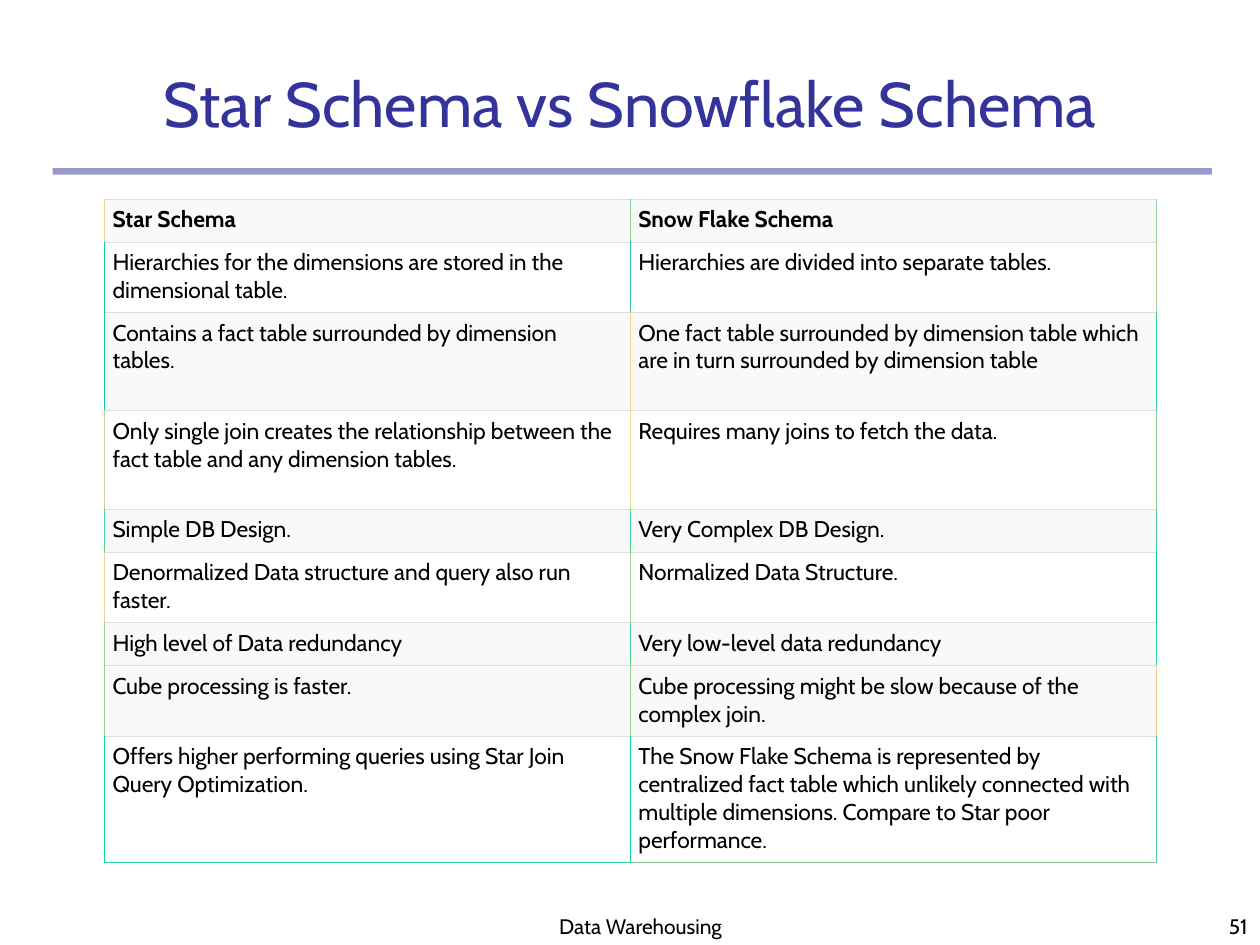
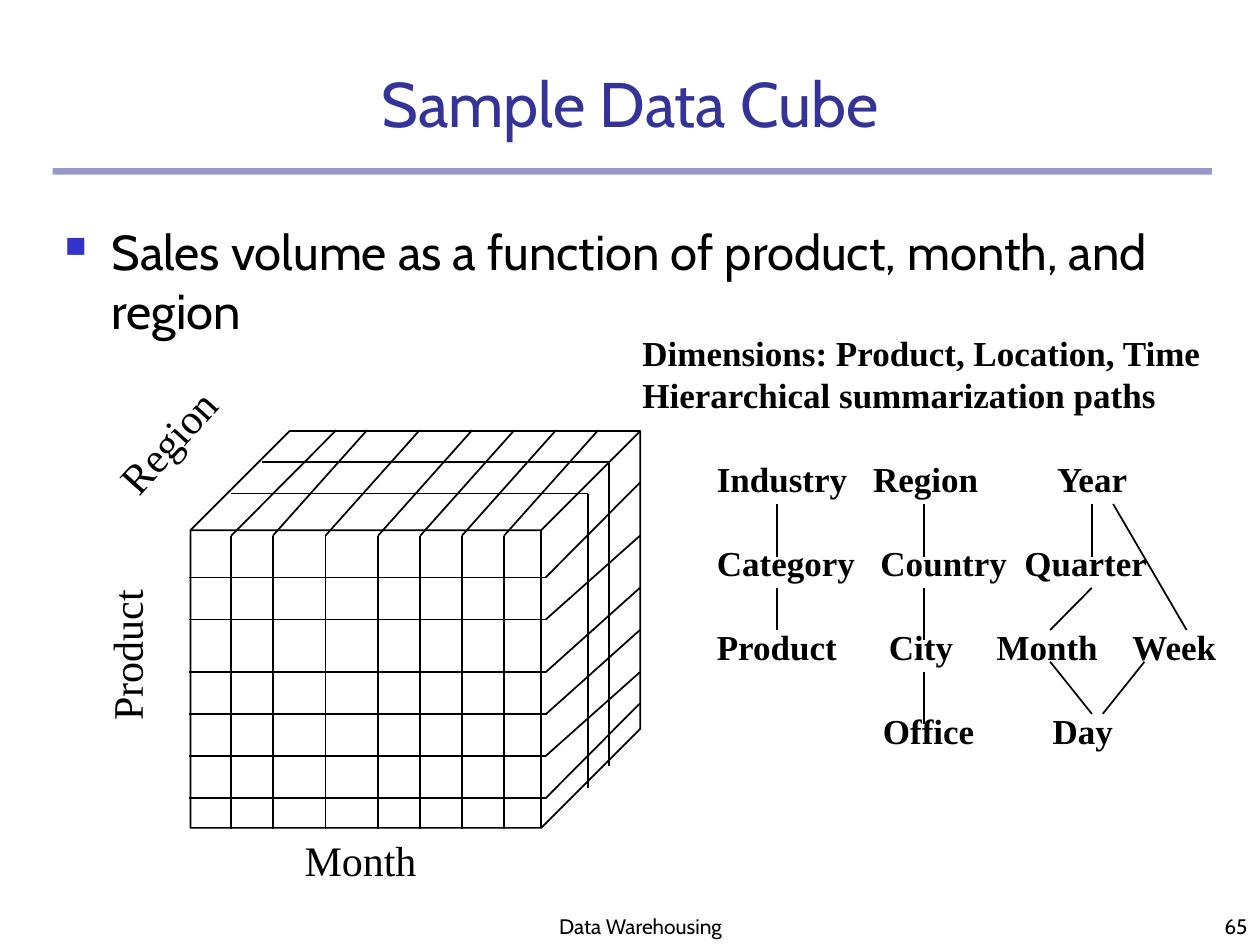
from lxml import etree
from pptx import Presentation
from pptx.dml.color import RGBColor
from pptx.enum.shapes import MSO_CONNECTOR, MSO_SHAPE
from pptx.enum.text import MSO_ANCHOR, MSO_AUTO_SIZE, PP_ALIGN
from pptx.oxml.ns import qn
from pptx.util import Cm, Pt

CUBE, RECTANGLE = MSO_SHAPE.CUBE, MSO_SHAPE.RECTANGLE
STRAIGHT = MSO_CONNECTOR.STRAIGHT
TOP, BOTTOM = MSO_ANCHOR.TOP, MSO_ANCHOR.BOTTOM
LEFT, CENTER, RIGHT = PP_ALIGN.LEFT, PP_ALIGN.CENTER, PP_ALIGN.RIGHT
GROW = MSO_AUTO_SIZE.SHAPE_TO_FIT_TEXT

SANS, SERIF = "Cabin", "Times New Roman"
BLACK, WHITE, NAVY = "000000", "FFFFFF", "333399"
BULLET_BLUE, SHADE, RULE_GREY = "3333CC", "F9F9F9", "DDDDDD"

COMPARISON = [
    ("Star Schema", "Snow Flake Schema"),
    ("Hierarchies for the dimensions are stored in the dimensional table.",
     "Hierarchies are divided into separate tables."),
    ("Contains a fact table surrounded by dimension tables.",
     "One fact table surrounded by dimension table which are in turn surrounded by dimension table"),
    ("Only single join creates the relationship between the fact table and any dimension tables.",
     "Requires many joins to fetch the data."),
    ("Simple DB Design.", "Very Complex DB Design."),
    ("Denormalized Data structure and query also run faster.", "Normalized Data Structure."),
    ("High level of Data redundancy", "Very low-level data redundancy"),
    ("Cube processing is faster.", "Cube processing might be slow because of the complex join."),
    ("Offers higher performing queries using Star Join Query Optimization.",
     "The Snow Flake Schema is represented by centralized fact table which unlikely connected "
     "with multiple dimensions. Compare to Star poor performance."),
]
ROW_HEIGHTS = [0.87, 1.42, 1.98, 1.98, 0.87, 1.42, 0.87, 1.42, 2.54]
SHADED_ROWS = {0, 2, 4, 6, 7}
VERTICAL_BORDERS = [
    ("F0D095", "90CD95", "90CF95"),
    ("10D095", "30CB95", "B0CF95"),
    ("10CD95", "F0D095", "30D095"),
    ("D0D095", "F0D895", "90CB95"),
    ("50D595", "50D695", "50CB95"),
    ("F0D195", "B0D495", "10CD95"),
    ("90D895", "50D495", "30D195"),
    ("90D495", "90D695", "F0CE95"),
    ("10D995", "10D995", "50CB95"),
]
BOTTOM_BORDERS = ("30D195", "90CB95")

PRODUCT_LINES = [(11.64, 9.73), (12.49, 10.8), (13.55, 11.85),
                 (14.4, 12.7), (15.24, 13.55), (16.09, 14.18)]
MONTH_LINES = [(4.66, 6.78), (5.5, 7.4), (6.56, 8.46), (7.62, 9.52),
               (8.47, 10.37), (9.31, 11.21), (10.16, 12.06)]
REGION_LINES = [(5.29, 9.31, 12.28, 15.45), (4.66, 9.95, 11.85, 15.88)]

HIERARCHY = [
    ("Industry\tRegion\tYear", (3.15, 6.86)),
    ("Category\tCountry\tQuarter", (3.3, 6.2)),
    ("Product\tCity\tMonth\tWeek", (3.47, 5.64, 8.38)),
    ("\tOffice\tDay", (3.35, 6.77)),
]
HIERARCHY_LINKS = [
    (15.66, 10.16, 15.66, 11.22), (15.66, 11.85, 15.66, 12.7),
    (18.63, 10.16, 18.63, 11.22), (18.63, 11.85, 18.63, 12.91),
    (18.63, 13.55, 18.63, 14.6), (22.01, 10.16, 22.01, 11.22),
    (22.01, 11.85, 21.17, 12.7), (22.44, 10.16, 23.92, 12.7),
    (21.17, 13.34, 22.01, 14.39), (23.07, 13.34, 22.23, 14.39),
]


def color(hex_code):
    """Turn a hex string into a colour."""
    return RGBColor.from_string(hex_code)


def add_element(parent, tag, **attributes):
    """Append a drawing element to a parent and return it."""
    return etree.SubElement(parent, qn(tag), attributes)


def add_tabs(paragraph, positions):
    """Set left tab stops, in centimetres."""
    tab_list = add_element(paragraph._p.get_or_add_pPr(), "a:tabLst")
    for position in positions:
        add_element(tab_list, "a:tab", pos=str(Cm(position)), algn="l")


def add_bullet(paragraph):
    """Give a paragraph a small square bullet and a hanging indent."""
    properties = paragraph._p.get_or_add_pPr()
    properties.set("marL", str(Cm(0.94)))
    properties.set("indent", str(-Cm(0.94)))
    bullet_color = add_element(properties, "a:buClr")
    add_element(bullet_color, "a:srgbClr", val=BULLET_BLUE)
    add_element(properties, "a:buSzPct", val="60000")
    add_element(properties, "a:buChar", char="■")


def format_paragraph(paragraph, text, size=12, font=SANS, ink=BLACK, bold=False, align=LEFT):
    """Write text into a paragraph and format it."""
    paragraph.text = text
    paragraph.alignment = align
    paragraph.font.size = Pt(size)
    paragraph.font.name = font
    paragraph.font.bold = bold
    paragraph.font.color.rgb = color(ink)


def add_text(slide, text, left, top, width, height, *, anchor=TOP, wrap=True, grow=False,
             rotation=0, bullet=False, tabs=(), space_before=0, **style):
    """Add a text box with one paragraph for each line of text."""
    box = slide.shapes.add_textbox(Cm(left), Cm(top), Cm(width), Cm(height))
    box.rotation = rotation
    frame = box.text_frame
    frame.word_wrap = wrap
    frame.vertical_anchor = anchor
    if grow:
        frame.auto_size = GROW
    for index, line in enumerate(text.split("\n")):
        paragraph = frame.add_paragraph() if index else frame.paragraphs[0]
        if bullet:
            add_bullet(paragraph)
        if tabs:
            add_tabs(paragraph, tabs[index])
        if index and space_before:
            paragraph.space_before = Pt(space_before)
        format_paragraph(paragraph, line, **style)


def add_line(slide, start_x, start_y, end_x, end_y):
    """Add a thin black straight line."""
    line = slide.shapes.add_connector(STRAIGHT, Cm(start_x), Cm(start_y), Cm(end_x), Cm(end_y))
    line.line.color.rgb = color(BLACK)
    line.line.width = Pt(1)
    add_element(line._element.spPr, "a:effectLst")


def add_title_rule(slide):
    """Add the half-transparent band under the title."""
    rule = slide.shapes.add_shape(RECTANGLE, Cm(1.06), Cm(3.39), Cm(23.37), Cm(0.13))
    rule.shadow.inherit = False
    rule.line.fill.background()
    rule.fill.solid()
    rule.fill.fore_color.rgb = color(NAVY)
    fill_color = rule._element.spPr.find(qn("a:solidFill")).find(qn("a:srgbClr"))
    add_element(fill_color, "a:alpha", val="50000")


def add_base_slide(presentation, title, number):
    """Add a slide with the shared title, band and footer."""
    slide = presentation.slides.add_slide(presentation.slide_layouts[6])
    add_title_rule(slide)
    add_text(slide, title, 1.06, 1.06, 23.28, 1.9, anchor=BOTTOM, size=36, ink=NAVY, align=CENTER)
    add_text(slide, "Data Warehousing", 8.89, 17.57, 8.05, 1.48, anchor=BOTTOM, align=CENTER)
    add_text(slide, number, 20.11, 17.78, 5.29, 1.27, anchor=BOTTOM, align=RIGHT)
    return slide


def set_borders(cell, left, right, top, bottom):
    """Draw the four borders of a cell, each a hex colour."""
    properties = cell._tc.get_or_add_tcPr()
    sides = [("a:lnL", left), ("a:lnR", right), ("a:lnT", top), ("a:lnB", bottom)]
    for index, (tag, hex_code) in enumerate(sides):
        width = Pt(0.34 if hex_code == RULE_GREY else 0.45)
        border = add_element(properties, tag, w=str(width))
        add_element(add_element(border, "a:solidFill"), "a:srgbClr", val=hex_code)
        properties.insert(index, border)


def fill_cell(cell, text, shaded, bold):
    """Write one table cell on its background."""
    cell.margin_left = cell.margin_right = Cm(0.16)
    cell.margin_top = cell.margin_bottom = Cm(0.13)
    cell.fill.solid()
    cell.fill.fore_color.rgb = color(SHADE if shaded else WHITE)
    paragraph = cell.text_frame.paragraphs[0]
    format_paragraph(paragraph, text, size=13, bold=bold)
    paragraph.line_spacing = 1.01


def add_comparison_table(slide):
    """Add the table that compares both schemas."""
    table = slide.shapes.add_table(len(COMPARISON), 2, Cm(2.11), Cm(4.01), Cm(21.2),
                                   Cm(sum(ROW_HEIGHTS))).table
    table.first_row = table.horz_banding = False
    for row, texts in enumerate(COMPARISON):
        table.rows[row].height = Cm(ROW_HEIGHTS[row])
        is_last = row == len(COMPARISON) - 1
        for column, text in enumerate(texts):
            cell = table.cell(row, column)
            fill_cell(cell, text, row in SHADED_ROWS, row == 0)
            left, right = VERTICAL_BORDERS[row][column:column + 2]
            set_borders(cell, left, right, RULE_GREY,
                        BOTTOM_BORDERS[column] if is_last else RULE_GREY)


def add_data_cube(slide):
    """Add the cube, its grid lines and its axis labels."""
    cube = slide.shapes.add_shape(CUBE, Cm(3.84), Cm(8.69), Cm(9.07), Cm(8))
    cube.shadow.inherit = False
    cube.adjustments[0] = 0.25
    cube.fill.background()
    cube.line.color.rgb = color(BLACK)
    cube.line.width = Pt(1)
    for front_y, back_y in PRODUCT_LINES:
        add_line(slide, 3.81, front_y, 11, front_y)
        add_line(slide, 11, front_y, 12.9, back_y)
    for front_x, back_x in MONTH_LINES:
        add_line(slide, front_x, 10.8, front_x, 16.72)
        add_line(slide, front_x, 10.8, back_x, 8.67)
    for left, top, right, bottom in REGION_LINES:
        add_line(slide, left, top, right, top)
        add_line(slide, right, top, right, bottom)
    label = {"size": 24, "font": SERIF, "grow": True}
    add_text(slide, "Product", 0.97, 12.57, 3.15, 1.27, rotation=270, wrap=False, **label)
    add_text(slide, "Region", 1.91, 8.26, 2.95, 1.27, rotation=312, **label)
    add_text(slide, "Month", 5.89, 16.69, 2.77, 1.27, wrap=False, **label)


def add_hierarchies(slide):
    """Add the dimension hierarchies with their links."""
    style = {"size": 20, "font": SERIF, "bold": True, "grow": True}
    add_text(slide, "Dimensions: Product, Location, Time\nHierarchical summarization paths",
             12.7, 6.55, 11.81, 1.96, wrap=False, **style)
    levels, tabs = zip(*HIERARCHY)
    add_text(slide, "\n".join(levels), 14.2, 9.09, 10.9, 6.2, tabs=tabs, space_before=24, **style)
    for link in HIERARCHY_LINKS:
        add_line(slide, *link)


def main():
    """Build both slides and save the presentation."""
    presentation = Presentation()
    presentation.slide_width, presentation.slide_height = Cm(25.4), Cm(19.05)

    add_comparison_table(add_base_slide(presentation, "Star Schema vs Snowflake Schema", "51"))

    cube_slide = add_base_slide(presentation, "Sample Data Cube", "65")
    add_text(cube_slide, "Sales volume as a function of product, month, and region",
             1.06, 4.34, 23.06, 12.7, bullet=True, size=28)
    add_data_cube(cube_slide)
    add_hierarchies(cube_slide)

    presentation.save("out.pptx")


if __name__ == "__main__":
    main()
